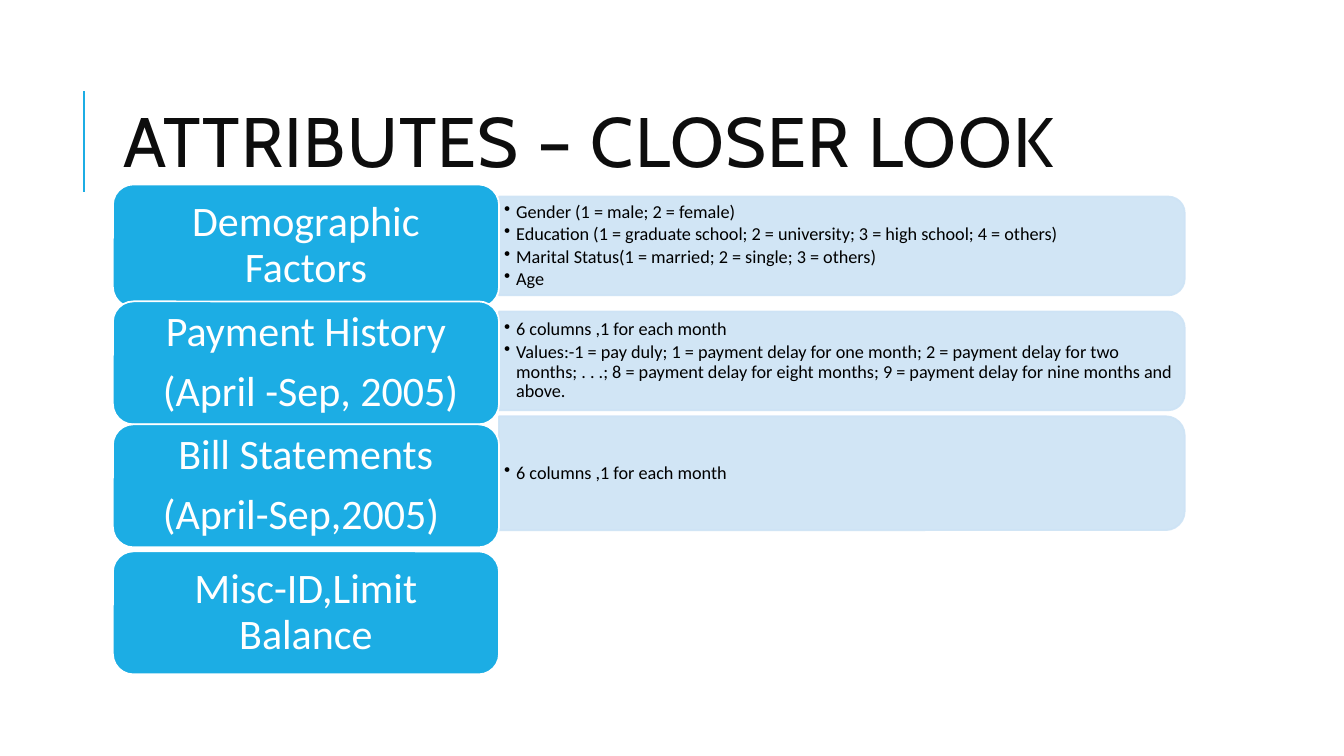
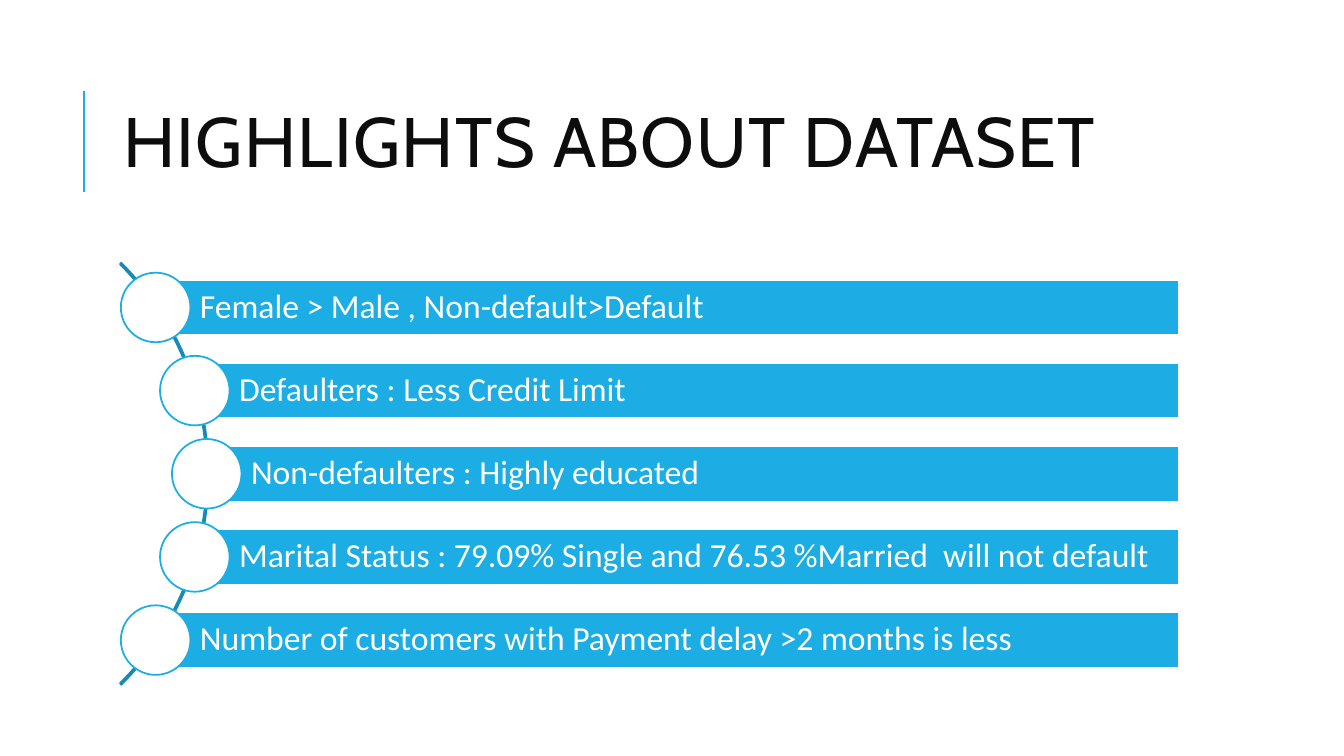
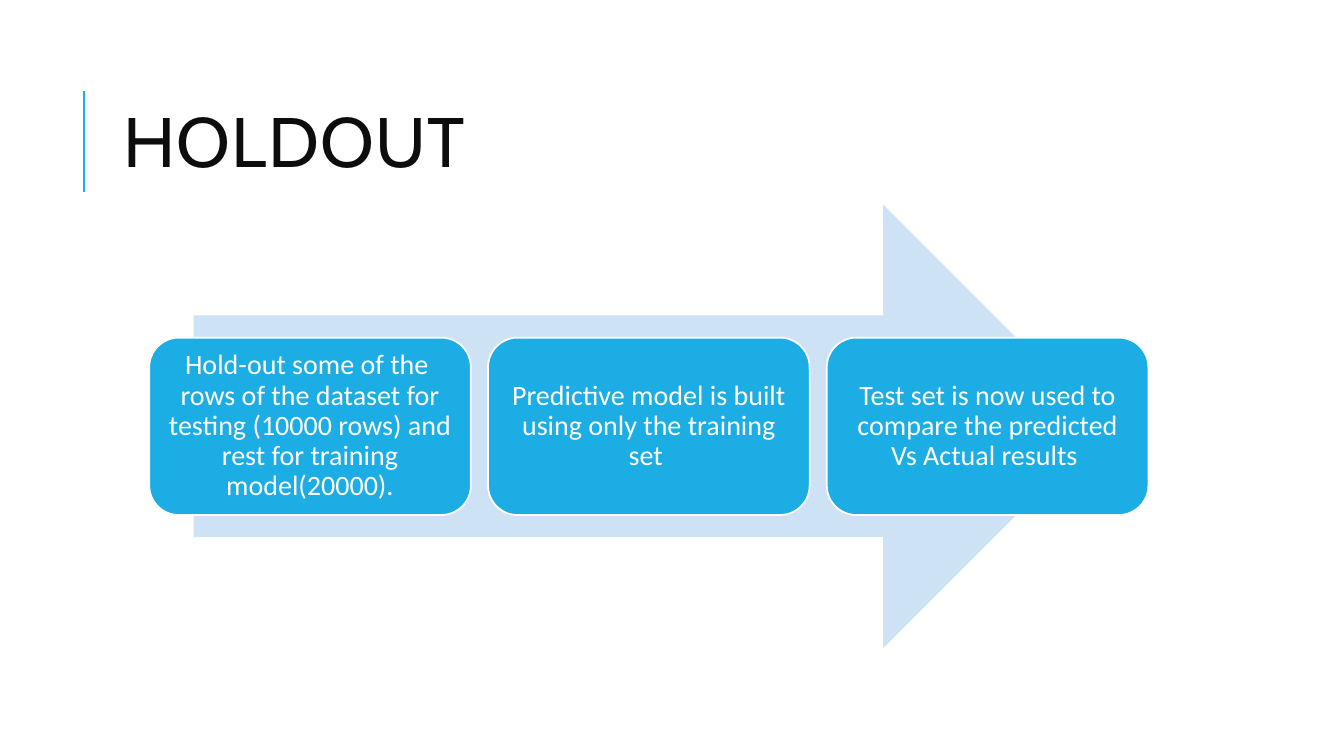
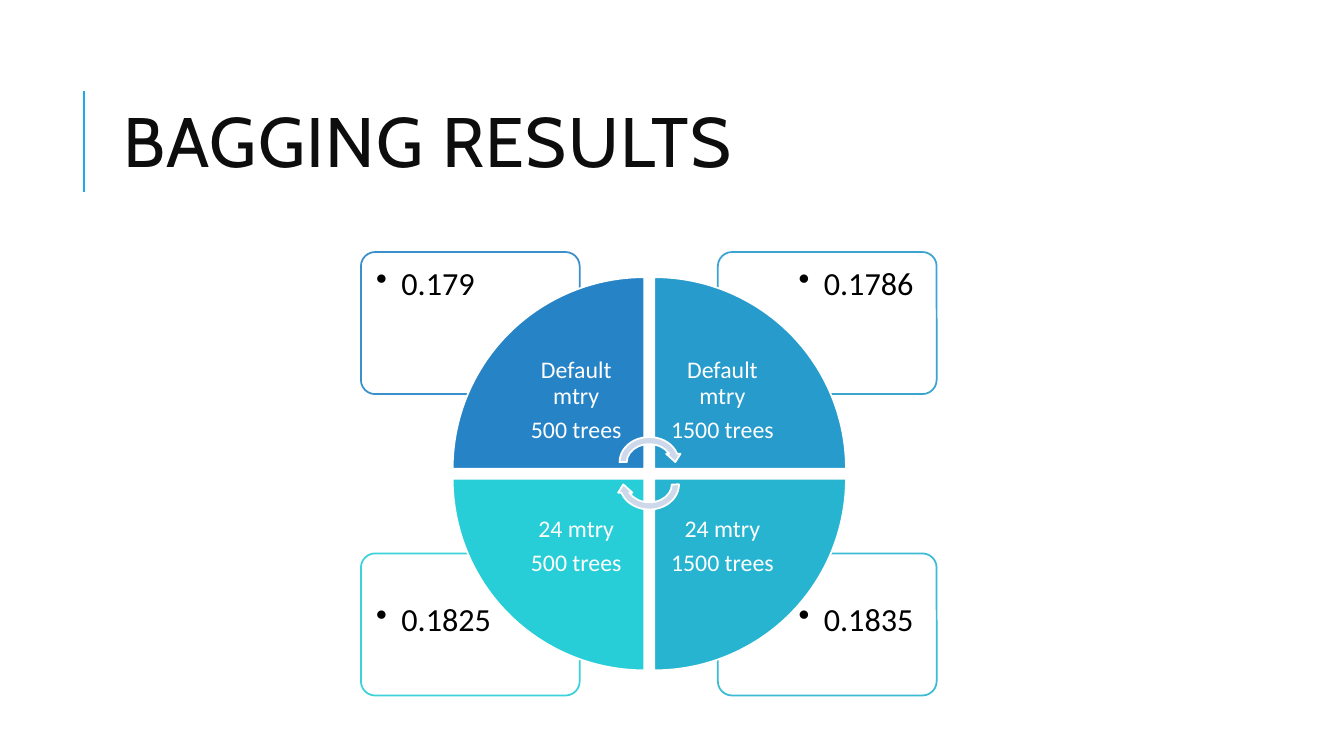
import math
from dataclasses import dataclass

import pptx
import pptx.dml.color
import pptx.enum.shapes
import pptx.enum.text
import pptx.oxml.ns
import pptx.util
from lxml import etree

Inches = pptx.util.Inches
Pt = pptx.util.Pt
RGB = pptx.dml.color.RGBColor.from_string
SHAPE = pptx.enum.shapes.MSO_SHAPE
ALIGN = pptx.enum.text.PP_ALIGN
ANCHOR = pptx.enum.text.MSO_ANCHOR
qn = pptx.oxml.ns.qn


# Colours, fonts and type sizes
@dataclass(frozen=True)
class Theme:
    accent: str = "1CADE4"
    accent_dark: str = "168BB7"
    tint: str = "CDE3F5"
    cycle: str = "CDD9EA"
    white: str = "FFFFFF"
    black: str = "000000"
    title: str = "0D0D0D"
    quadrants: tuple = ("2683C6", "269BCC", "27B4D1", "27CED7")
    title_font: str = "Cabin"
    body_font: str = "Calibri"
    title_size: int = 50
    heading_size: int = 30
    bar_size: int = 24
    value_size: int = 23
    step_size: int = 20
    wedge_size: int = 17
    detail_size: int = 13
    outline: float = 1.25
    rule: float = 1.5


T = Theme()


# Helpers
def apply(obj, formats):
    for name, value in formats.items():
        setattr(obj, name, value)


def add_shape(s, kind, x, y, w, h, fill=None, line=T.white, alpha=None, rotation=0):
    sp = s.shapes.add_shape(kind, Inches(x), Inches(y), Inches(w), Inches(h))
    sp.shadow.inherit = False
    sp.rotation = rotation
    if fill:
        sp.fill.solid()
        sp.fill.fore_color.rgb = RGB(fill)
    else:
        sp.fill.background()
    if line:
        sp.line.color.rgb = RGB(line)
        sp.line.width = Pt(T.outline)
    else:
        sp.line.fill.background()
    if alpha:
        for color in sp.element.spPr.iter(qn("a:srgbClr")):
            etree.SubElement(color, qn("a:alpha")).set("val", str(alpha * 1000))
    return sp


def add_box(s, x, y, w, h):
    return s.shapes.add_textbox(Inches(x), Inches(y), Inches(w), Inches(h))


def write(sp, lines, size, color=T.white, align=ALIGN.CENTER, anchor=ANCHOR.MIDDLE,
          insets=(0.08, 0.08, 0.08, 0.08), bullet=None):
    """Fill a shape with paragraphs; bullet is the hanging indent in inches."""
    tf = sp.text_frame
    left, top, right, bottom = map(Inches, insets)
    apply(tf, {"word_wrap": True, "vertical_anchor": anchor, "margin_left": left,
               "margin_top": top, "margin_right": right, "margin_bottom": bottom})
    after = 0.15 if bullet else 0.35
    for i, line in enumerate(lines):
        p = tf.add_paragraph() if i else tf.paragraphs[0]
        apply(p, {"alignment": align, "line_spacing": 0.9, "space_after": Pt(size * after)})
        if bullet:
            p.level = 1
            pPr = p._p.get_or_add_pPr()
            pPr.set("marL", str(Inches(bullet)))
            pPr.set("indent", str(-Inches(bullet)))
            etree.SubElement(pPr, qn("a:buChar")).set("char", "•")
        r = p.add_run()
        r.text = line
        apply(r.font, {"name": T.body_font, "size": Pt(size)})
        r.font.color.rgb = RGB(color)


def add_slide(prs, title):
    s = prs.slides.add_slide(prs.slide_layouts[5])
    # Accent rule beside the title
    rule = s.shapes.add_connector(pptx.enum.shapes.MSO_CONNECTOR.STRAIGHT,
                                  Inches(0.83), Inches(1.9), Inches(0.83), Inches(0.9))
    rule.line.color.rgb = RGB(T.accent)
    rule.line.width = Pt(T.rule)
    etree.SubElement(rule.element.spPr, qn("a:effectLst"))
    # Title
    sp = s.shapes.title
    apply(sp, {"left": Inches(1.12), "top": Inches(0.64),
               "width": Inches(10.63), "height": Inches(1.64)})
    tf = sp.text_frame
    apply(tf, {"word_wrap": True, "vertical_anchor": ANCHOR.MIDDLE,
               "auto_size": pptx.enum.text.MSO_AUTO_SIZE.NONE})
    p = tf.paragraphs[0]
    apply(p, {"alignment": ALIGN.LEFT, "line_spacing": 0.8})
    r = p.add_run()
    r.text = title
    apply(r.font, {"name": T.title_font, "size": Pt(T.title_size)})
    r.font.color.rgb = RGB(T.title)
    r.font._element.set("spc", "100")
    return s


# Attribute groups: heading block with a detail panel
def add_panel(s, x, y, w, h, details):
    # A quarter turn puts the two rounded corners on the right
    add_shape(s, SHAPE.ROUND_2_SAME_RECTANGLE, x + (w - h) / 2, y + (h - w) / 2, h, w,
              T.tint, T.tint, alpha=90, rotation=90)
    write(add_box(s, x, y + 0.05, w - 0.04, h - 0.1), details, T.detail_size, T.black,
          ALIGN.LEFT, insets=(0.05, 0.03, 0.05, 0.03), bullet=0.12)


def attributes_slide(prs):
    s = add_slide(prs, "ATTRIBUTES – CLOSER LOOK")
    x, w, h = 1.12, 3.83, 1.22
    groups = [  # heading top, heading, panel top, panel height, details
        (1.83, ["Demographic Factors"], 1.95, 0.98,
         ["Gender (1 = male; 2 = female)",
          "Education (1 = graduate school; 2 = university; 3 = high school; 4 = others)",
          "Marital Status(1 = married; 2 = single; 3 = others)",
          "Age"]),
        (5.47, ["Misc-ID,Limit Balance"], None, None, None),
        (2.99, ["Payment History", " (April -Sep, 2005)"], 3.09, 0.98,
         ["6 columns ,1 for each month",
          "Values:-1 = pay duly; 1 = payment delay for one month; 2 = payment delay for two "
          "months; . . .; 8 = payment delay for eight months; 9 = payment delay for nine "
          "months and above."]),
        (4.21, ["Bill Statements", "(April-Sep,2005) "], 4.13, 1.13,
         ["6 columns ,1 for each month"]),
    ]
    for y, heading, panel_y, panel_h, details in groups:
        if details:
            add_panel(s, x + w, panel_y, 6.8, panel_h, details)
        block = add_shape(s, SHAPE.ROUNDED_RECTANGLE, x, y, w, h, T.accent)
        write(block, heading, T.heading_size, insets=(0.12, 0.06, 0.12, 0.06))


# Highlights: bars strung along an arc
def highlights_slide(prs):
    s = add_slide(prs, "HIGHLIGHTS ABOUT DATASET")
    center_x, center_y, radius = -0.89, 4.7, 2.96
    right, bar_h, dot, pitch = 11.69, 0.55, 0.69, 0.825
    arc = add_shape(s, SHAPE.BLOCK_ARC, center_x - radius, center_y - radius,
                    2 * radius, 2 * radius, line=T.accent_dark)
    for i, value in enumerate((189, 27, 0.02 / (2 * radius))):
        arc.adjustments[i] = value
    highlights = [
        "Female > Male , Non-default>Default",
        "Defaulters : Less Credit Limit",
        "Non-defaulters : Highly educated",
        "Marital Status : 79.09% Single and 76.53 %Married  will not default",
        "Number of customers with Payment delay >2 months is less",
    ]
    for i, text in enumerate(highlights):
        dy = (i - 2) * pitch
        x = center_x + math.sqrt((radius - 0.02) ** 2 - dy ** 2)
        y = center_y + dy
        bar = add_shape(s, SHAPE.RECTANGLE, x, y - bar_h / 2, right - x, bar_h, T.accent)
        write(bar, [text], T.bar_size, align=ALIGN.LEFT, insets=(0.44, 0.07, 0.07, 0.07))
        add_shape(s, SHAPE.OVAL, x - dot / 2, y - dot / 2, dot, dot, T.white, T.accent)


# Holdout: steps over a wide arrow
def holdout_slide(prs):
    s = add_slide(prs, "HOLDOUT")
    add_shape(s, SHAPE.RIGHT_ARROW, 1.92, 2.03, 9.04, 4.4, T.tint, line=None)
    steps = [
        "Hold-out some of the  rows of the dataset for testing (10000 rows) "
        "and rest for training model(20000).",
        "Predictive model is built using only the training set ",
        "Test set is now used to compare the predicted Vs Actual results ",
    ]
    w, gap = 3.19, 0.17
    for i, text in enumerate(steps):
        step = add_shape(s, SHAPE.ROUNDED_RECTANGLE, 1.48 + i * (w + gap), 3.35, w, 1.76,
                         T.accent)
        write(step, [text], T.step_size)


# Bagging: four wedges, each with its result box
def bagging_slide(prs):
    s = add_slide(prs, "BAGGING RESULTS")
    quadrants = [  # column, row, value, settings; clockwise from top left
        (0, 0, "0.179", ["Default mtry", "500 trees"]),
        (1, 0, "0.1786", ["Default mtry", "1500 trees"]),
        (1, 1, "0.1835", ["24 mtry", "1500 trees"]),
        (0, 1, "0.1825", ["24 mtry", "500 trees"]),
    ]
    for (col, row, value, _), color in zip(quadrants, T.quadrants):
        box = add_shape(s, SHAPE.ROUNDED_RECTANGLE, 3.58 + col * 3.54, 2.5 + row * 2.99,
                        2.17, 1.41, T.white, color, alpha=90)
        box.adjustments[0] = 0.1
        write(box, [value], T.value_size, T.black, ALIGN.LEFT, ANCHOR.TOP,
              insets=(0.76 if col else 0.11, 0.46 if row else 0.11, 0.11, 0.11), bullet=0.25)

    center_x, center_y, half_gap, size, label = 6.44, 4.7, 0.05, 1.9, 1.35

    def corner(col, row, side):
        """Top left of a square that touches the centre cross."""
        return (center_x + (half_gap if col else -half_gap - side),
                center_y + (half_gap if row else -half_gap - side))

    for i, (col, row, _, settings) in enumerate(quadrants):
        add_shape(s, SHAPE.PIE_WEDGE, *corner(col, row, size), size, size,
                  T.quadrants[i], rotation=90 * i)
        write(add_box(s, *corner(col, row, label), label, label), settings, T.wedge_size,
              insets=(0.13, 0.13, 0.13, 0.13))

    for y, rotation in ((4.3, 0), (4.52, 180)):
        add_shape(s, SHAPE.CIRCULAR_ARROW, 6.11, y, 0.66, 0.57, T.cycle, rotation=rotation)


def main():
    prs = pptx.Presentation()
    prs.slide_width, prs.slide_height = Inches(13.33), Inches(7.5)
    for build in (attributes_slide, highlights_slide, holdout_slide, bagging_slide):
        build(prs)
    prs.save("out.pptx")


if __name__ == "__main__":
    main()
